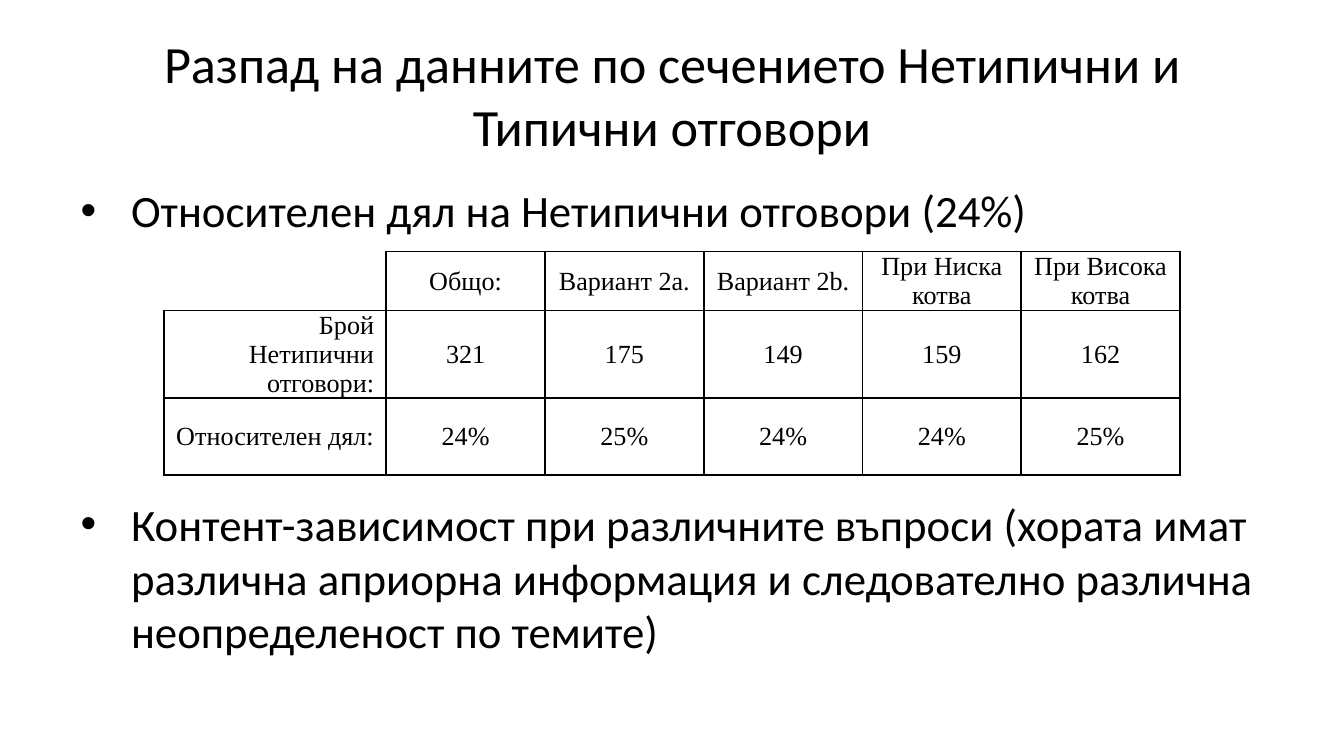
from pptx import Presentation
from pptx import util as u
from pptx.dml.color import RGBColor
from pptx.enum import text
from pptx.oxml.ns import qn
from lxml import etree

heading = "Разпад на данните по сечението Нетипични и Типични отговори"
points = [
    ("Относителен дял на Нетипични отговори (24%)", 5),
    ("Контент-зависимост при различните въпроси (хората имат различна "
     "априорна информация и следователно различна неопределеност по темите)", 139),
]
answers = [
    ["", "Общо:", "Вариант 2а.", "Вариант 2b.", "При Ниска котва", "При Висока котва"],
    ["Брой Нетипични отговори:", "321", "175", "149", "159", "162"],
    ["Относителен дял:", "24%", "25%", "24%", "24%", "25%"],
]
label_indents = {1: 1.25}

theme = {
    "ink": "000000", "paper": "FFFFFF",
    "main_font": "Calibri", "table_font": "Times New Roman",
    "title": 28, "body": 24, "table": 14, "border": 1,
}
title_box = (1.27, 0.58, 22.86, 2.39)
body_box = (1.27, 3.33, 22.86, 9.42)
table_corner = (3.1, 4.75)
column_widths = [4.2] + [3] * 5
row_heights = [1.07, 1.6, 1.45]


def place(part, box):
    part.left, part.top, part.width, part.height = map(u.Cm, box)


def style(paragraph, font, size):
    for run in paragraph.runs:
        run.font.name = theme[font]
        run.font.size = u.Pt(theme[size])
        run.font.bold = False
        run.font.color.rgb = RGBColor.from_string(theme["ink"])


def draw_borders(cell, visible):
    props = cell._tc.get_or_add_tcPr()
    for side in "LRTB":
        line = etree.SubElement(props, qn(f"a:ln{side}"), w=str(u.Pt(theme["border"])))
        if side in visible:
            fill = etree.SubElement(line, qn("a:solidFill"))
            etree.SubElement(fill, qn("a:srgbClr"), val=theme["ink"])
        else:
            etree.SubElement(line, qn("a:noFill"))


deck = Presentation()
deck.slide_width, deck.slide_height = u.Cm(25.4), u.Cm(14.28)
slide = deck.slides.add_slide(deck.slide_layouts[1])
slide.background.fill.solid()
slide.background.fill.fore_color.rgb = RGBColor.from_string(theme["paper"])

title = slide.shapes.title
place(title, title_box)
title.text_frame.text = heading
title.text_frame.auto_size = text.MSO_AUTO_SIZE.NONE
title.text_frame.vertical_anchor = text.MSO_ANCHOR.MIDDLE
title.text_frame.paragraphs[0].alignment = text.PP_ALIGN.CENTER
style(title.text_frame.paragraphs[0], "main_font", "title")

body = slide.placeholders[1]
place(body, body_box)
body.text_frame.text = "\n".join(point for point, gap in points)
body.text_frame.auto_size = text.MSO_AUTO_SIZE.NONE
for paragraph, (point, gap) in zip(body.text_frame.paragraphs, points):
    paragraph.space_before = u.Pt(gap)
    style(paragraph, "main_font", "body")

table_size = (sum(column_widths), sum(row_heights))
table = slide.shapes.add_table(
    len(answers), len(column_widths), *map(u.Cm, table_corner + table_size)).table
table.first_row = table.horz_banding = False
for column, width in zip(table.columns, column_widths):
    column.width = u.Cm(width)
for row, height in zip(table.rows, row_heights):
    row.height = u.Cm(height)

for r, values in enumerate(answers):
    for c, value in enumerate(values):
        cell = table.cell(r, c)
        is_label = c == 0
        draw_borders(cell, "LRTB" if value else "RB")
        cell.fill.background()
        cell.margin_left = cell.margin_top = u.Cm(0.02)
        cell.margin_right = u.Cm(0.23 if is_label else 0.02)
        cell.margin_bottom = 0
        cell.vertical_anchor = text.MSO_ANCHOR.MIDDLE
        cell.text_frame.text = value
        paragraph = cell.text_frame.paragraphs[0]
        paragraph.alignment = text.PP_ALIGN.RIGHT if is_label else text.PP_ALIGN.CENTER
        if is_label and r in label_indents:
            paragraph._p.get_or_add_pPr().set("marL", str(u.Cm(label_indents[r])))
        style(paragraph, "table_font", "table")

deck.save("out.pptx")
